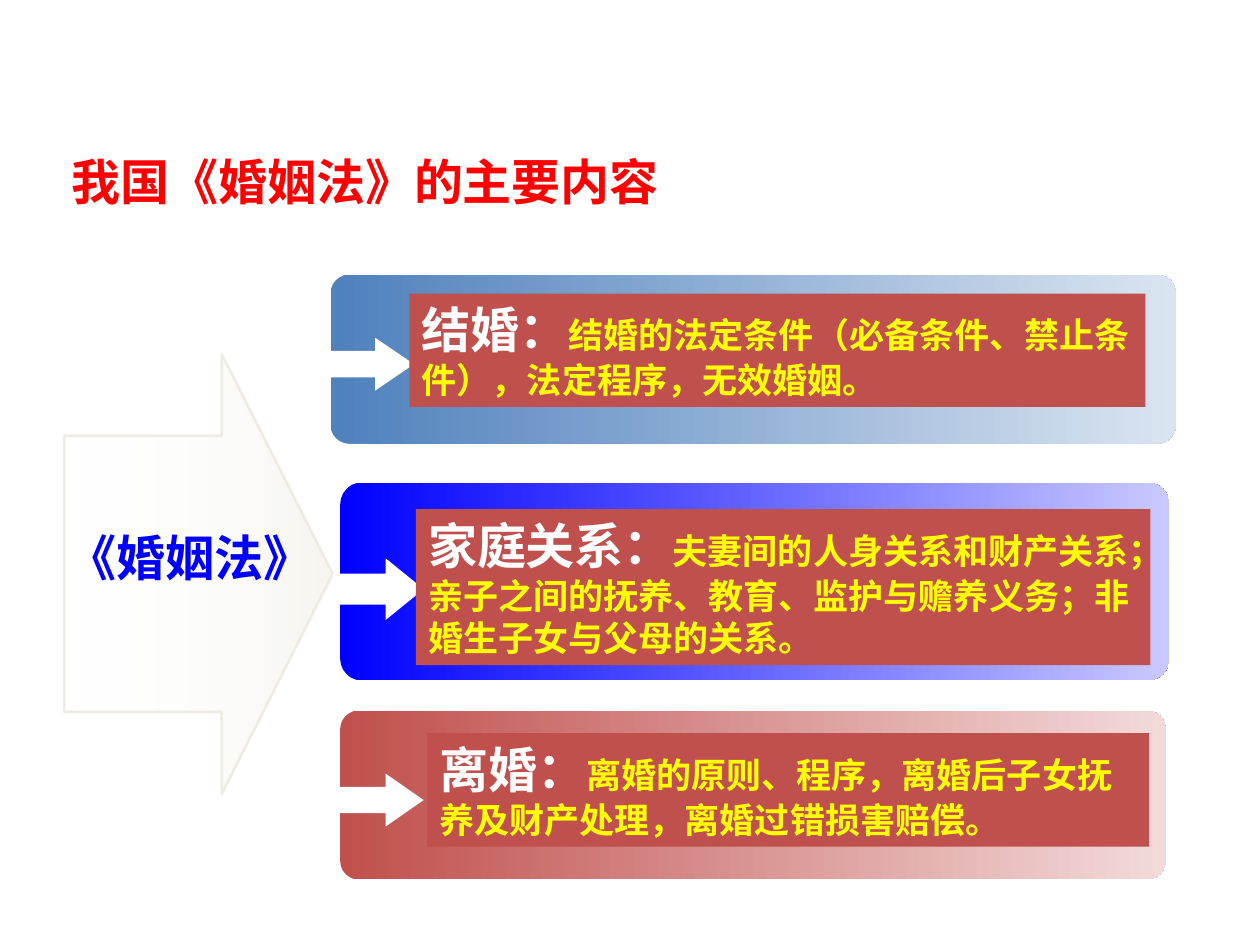
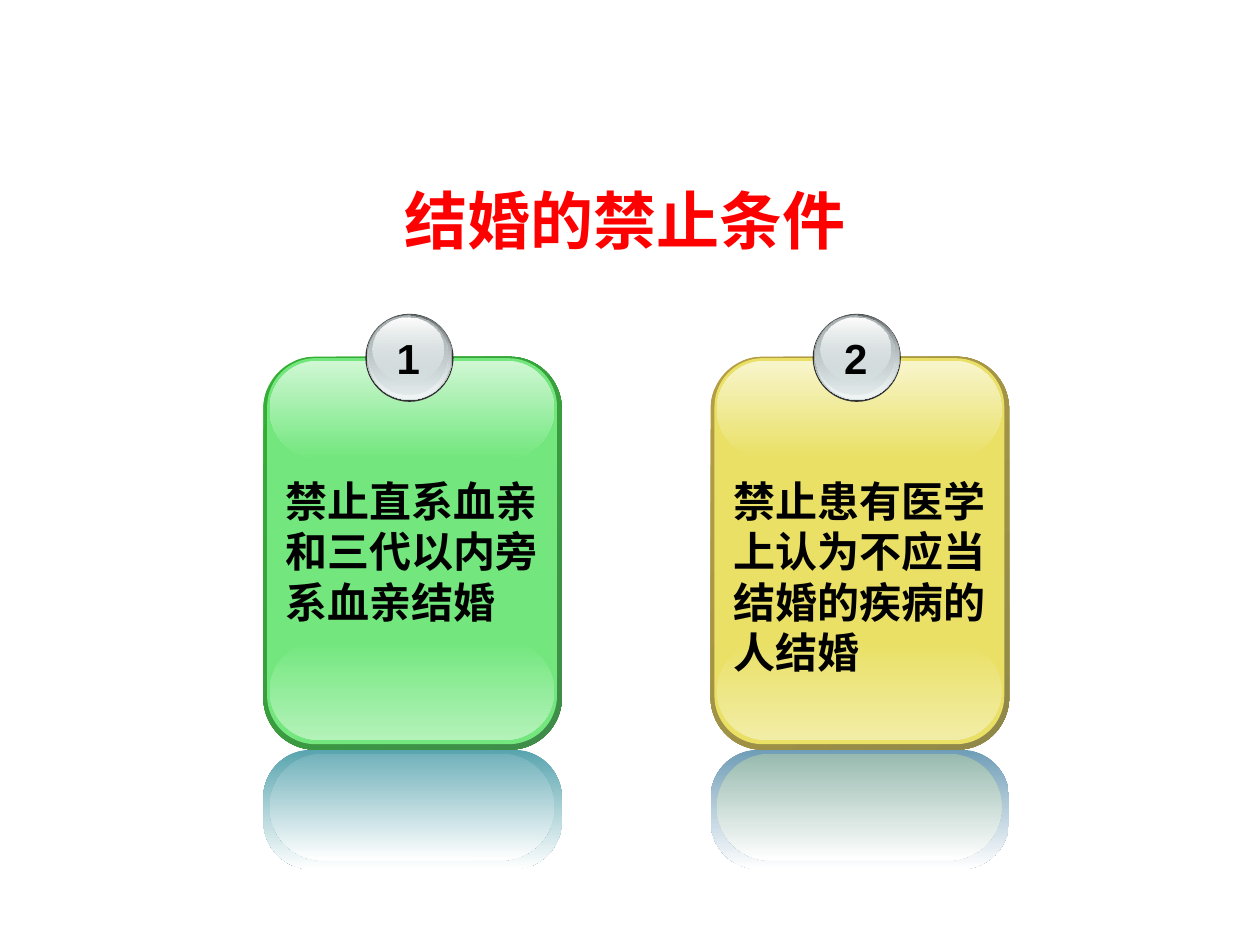
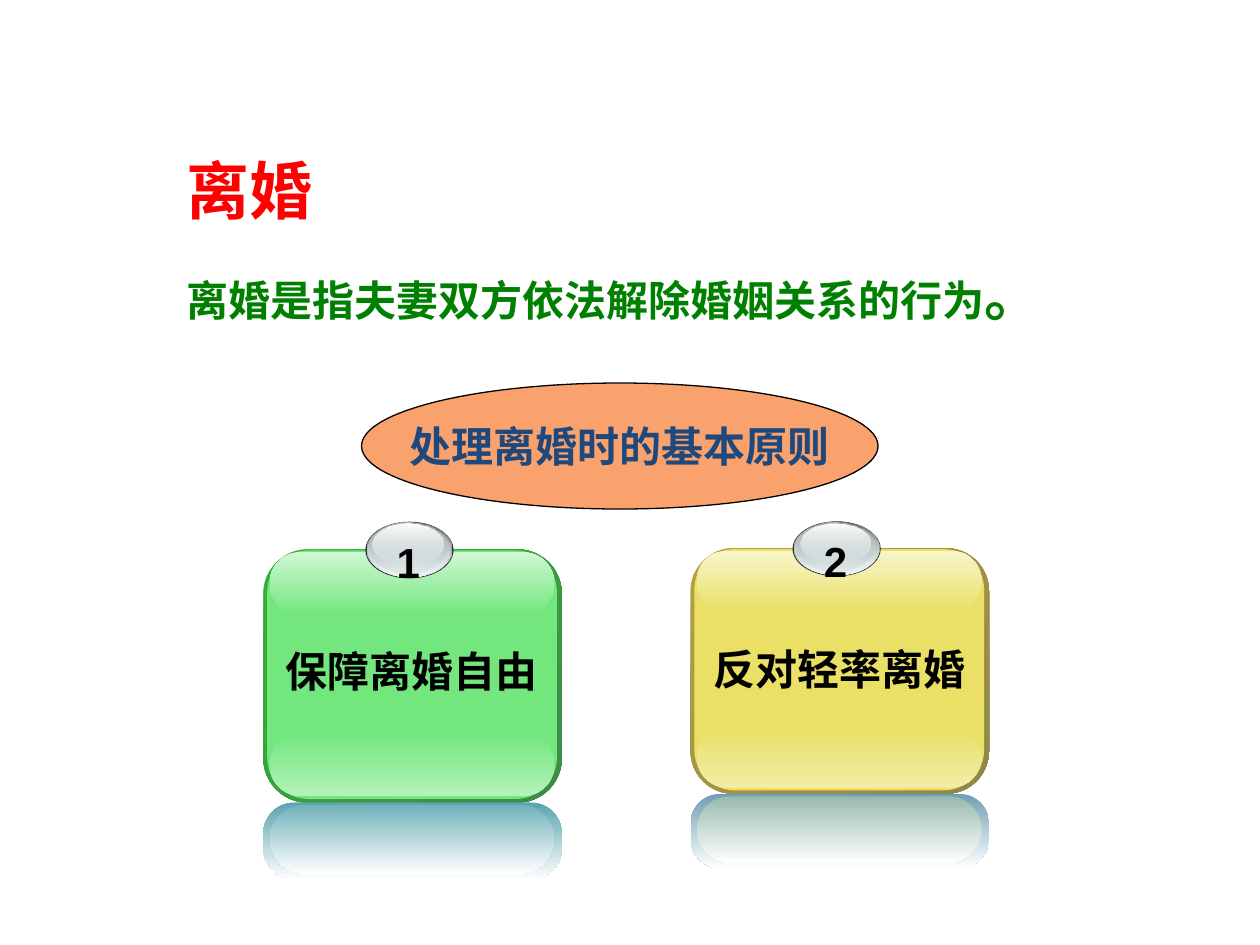
from dataclasses import dataclass

from lxml.etree import SubElement
from pptx import Presentation
from pptx.dml.color import RGBColor
from pptx.enum.shapes import MSO_SHAPE as Shape
from pptx.enum.text import MSO_ANCHOR as Anchor, PP_ALIGN as Align
from pptx.oxml.ns import qn
from pptx.util import Pt


@dataclass(frozen=True)
class Theme:
    white: str = "FFFFFF"
    black: str = "000000"
    red: str = "FF0000"
    blue: str = "0000FF"
    yellow: str = "FFFF00"
    green: str = "008000"
    navy: str = "1F497D"
    brick: str = "C0504D"
    cream: str = "EEECE1"
    orange: str = "F9A26D"
    rim: str = "333333"
    silver: str = "D6E1E2"
    heading: int = 36
    topic: int = 28
    body: int = 24
    detail: int = 20
    full_stop: int = 32
    latin: str = "Arial"
    title_font: str = "Noto Sans CJK SC"
    cjk: str = "DejaVu Sans"


T = Theme()

# Content: boxes are (left, top, width, height) in points
LAW_TITLE = "我国《婚姻法》的主要内容"
LAW_NAME = "《婚姻法》"
CHAPTERS = [
    dict(topic="离婚：", detail="离婚的原则、程序，离婚后子女抚养及财产处理，离婚过错损害赔偿。",
         panel=(194.4, 406.1, 471.6, 96.5), label=(244.1, 419, 412.6, 64.8),
         arrow=(442.1, 30.2, 0.717), colors=(T.brick, "F2DAD9")),
    dict(topic="家庭关系：",
         detail="夫妻间的人身关系和财产关系；亲子之间的抚养、教育、监护与赡养义务；非婚生子女与父母的关系。",
         panel=(194.4, 275.8, 473.8, 113), label=(237.6, 290.9, 419.8, 89.3),
         arrow=(319, 35.3, 0.615), colors=(T.blue, "C9C9FF")),
    dict(topic="结婚：", detail="结婚的法定条件（必备条件、禁止条件），法定程序，无效婚姻。",
         panel=(188.9, 157, 483, 96.5), label=(234, 167.8, 420.5, 64.8),
         arrow=(193, 30.2, 0.734), colors=("4F81BD", "DAE4F1")),
]
BANS_TITLE = "结婚的禁止条件"
BANS = [("禁止直系血亲和三代以内旁系血亲结婚", (150.5, 203.8, 224.6)),
        ("禁止患有医学上认为不应当结婚的疾病的人结婚", (406.1, 203.8, 224.6))]
DIVORCE_TITLE = "离婚"
DIVORCE_MEANING = "离婚是指夫妻双方依法解除婚姻关系的行为"
PRINCIPLES_TITLE = "处理离婚时的基本原则"
PRINCIPLES = [("保障离婚自由", (150.5, 313.9, 144.7)),
              ("反对轻率离婚", (394.6, 313.2, 140.4))]

# Card palettes, in the order the cards stand
PALETTES = [
    dict(frame=("34B034", "3F8B4A"), face="73E77E", low="B3F2B9", high="D0F7D4",
         mirror="58A4AE", mirror_face="72B2BB"),
    dict(frame=("B59F43", "8F8849"), face="E9E065", low="F2EDA6", high="F8F5CC",
         mirror="6F9DB7", mirror_face="98BAAF"),
]
CARD_WIDTH = 170.6

# Badge discs: left and width in points, top and height as shares of card height
BADGE = [
    (58.3, -0.109, 50.4, 0.224, T.rim, None),
    (59, -0.108, 49, 0.218, ("636869", T.silver), None),
    (59.7, -0.106, 47.5, 0.212, (T.silver, "F1F5F5"), (0, 100)),
    (59.9, -0.104, 45.4, 0.2, ("AAB2B3", T.silver), (100, 48)),
    (62.6, -0.1, 40.3, 0.16, (T.white, T.silver), (100, 38)),
]


def rgb(color):
    return RGBColor.from_string(color)


def paint(shape, fill, angle=0, alphas=None):
    """Fill with one colour, or with a pair as a gradient."""
    if isinstance(fill, str):
        shape.fill.solid()
        shape.fill.fore_color.rgb = rgb(fill)
        return
    shape.fill.gradient()
    shape.fill.gradient_angle = (360 - angle) % 360
    for stop, color, position in zip(shape.fill.gradient_stops, fill, (0, 1)):
        stop.color.rgb = rgb(color)
        stop.position = position
    if alphas:
        for node, alpha in zip(list(shape.element.iter(qn("a:srgbClr"))), alphas):
            SubElement(node, qn("a:alpha"), val=str(alpha * 1000))


def draw(slide, kind, box, fill, angle=0, alphas=None, adjust=(), line=None):
    shape = slide.shapes.add_shape(kind, *map(Pt, box))
    shape.shadow.inherit = False
    for index, value in enumerate(adjust):
        shape.adjustments[index] = value
    paint(shape, fill, angle, alphas)
    if line:
        shape.line.color.rgb = rgb(line[0])
        shape.line.width = Pt(line[1])
    else:
        shape.line.fill.background()
    return shape


def write(shape, *runs, font=T.latin, align=Align.LEFT, anchor=Anchor.TOP, wrap=True):
    """Write runs of (text, size, colour) as one bold paragraph."""
    frame = shape.text_frame
    frame_format = dict(word_wrap=wrap, vertical_anchor=anchor,
                        margin_left=Pt(7.2), margin_right=Pt(7.2),
                        margin_top=Pt(3.6), margin_bottom=Pt(3.6))
    for key, value in frame_format.items():
        setattr(frame, key, value)
    paragraph = frame.paragraphs[0]
    paragraph.alignment = align
    for text, size, color in runs:
        run = paragraph.add_run()
        run.text = text
        for key, value in dict(name=font, size=Pt(size), bold=True).items():
            setattr(run.font, key, value)
        run.font.color.rgb = rgb(color)
        latin = run.font._element.find(qn("a:latin"))
        east_asian = latin.makeelement(qn("a:ea"), {"typeface": T.cjk})
        latin.addnext(east_asian)


def label(slide, box, *runs, **options):
    write(slide.shapes.add_textbox(*map(Pt, box)), *runs, **options)


def title(slide, box, text, size=T.heading, wrap=True):
    label(slide, box, (text, size, T.red), font=T.title_font, wrap=wrap)


def card(slide, number, text, place, palette):
    """Draw a glossy card with a numbered badge and a reflection."""
    left, top, height = place
    face = palette["face"]

    def part(dx, dy, width, share):
        return left + dx, top + dy * height, width, share * height

    # Body, gloss and reflection
    layers = [
        (0, 0, CARD_WIDTH, 1, palette["frame"], 45, 0.175),
        (2.2, 0.004, 165.6, 0.982, face, 0, 0.167),
        (3.6, 0.725, 162.7, 0.25, (face, palette["low"]), 90, 0.5),
        (3.6, 0.01, 162.7, 0.247, (palette["high"], face), 90, 0.5),
        (0, 1, CARD_WIDTH, 0.304, (palette["mirror"], T.white), 90, 0.404),
        (3.6, 1.01, 162.7, 0.272, (palette["mirror_face"], T.white), 90, 0.5),
    ]
    for *area, fill, angle, radius in layers:
        draw(slide, Shape.ROUNDED_RECTANGLE, part(*area), fill, angle, adjust=[radius])

    # Badge and wording
    for *area, fill, alphas in BADGE:
        draw(slide, Shape.OVAL, part(*area), fill, 90, alphas)
    label(slide, (left + 69.1, top - 0.076 * height, 27.4, 36),
          (str(number), T.body, T.black), align=Align.CENTER, wrap=False)
    label(slide, (left + 5.8, top + 0.158 * height + 28.8, 162, 36),
          (text, T.body, T.black), font=T.cjk)


def cards(slide, entries):
    for number, ((text, place), palette) in enumerate(zip(entries, PALETTES), 1):
        card(slide, number, text, place, palette)


def law_slide(slide):
    draw(slide, Shape.RIGHT_ARROW, (36.7, 202.3, 153.4, 251.3), (T.white, T.cream),
         alphas=(0, 50), adjust=(0.628, 0.413), line=(T.cream, 1.5))
    for chapter in CHAPTERS:
        draw(slide, Shape.ROUNDED_RECTANGLE, chapter["panel"], chapter["colors"],
             adjust=[0.109])
        top, height, head = chapter["arrow"]
        draw(slide, Shape.RIGHT_ARROW, (chapter["panel"][0] - 4.3, top, 52, height),
             T.white, adjust=(0.5, head))
        write(draw(slide, Shape.RECTANGLE, chapter["label"], T.brick),
              (chapter["topic"], T.topic, T.white),
              (chapter["detail"], T.detail, T.yellow))
    title(slide, (33.8, 82.8, 350, 41), LAW_TITLE, T.topic, wrap=False)
    label(slide, (31.7, 298.1, 154, 41), (LAW_NAME, T.topic, T.blue), wrap=False)


def bans_slide(slide):
    title(slide, (223.9, 100.1, 278, 62), BANS_TITLE)
    cards(slide, BANS)


def divorce_slide(slide):
    title(slide, (99.4, 82.8, 102, 62), DIVORCE_TITLE)
    label(slide, (99.4, 145.4, 538.6, 46), (DIVORCE_MEANING, T.body, T.green),
          ("。", T.full_stop, T.green))
    principles = draw(slide, Shape.OVAL, (206.6, 218.9, 295.2, 72), T.orange,
                      line=(T.black, 0.75))
    write(principles, (PRINCIPLES_TITLE, T.body, T.navy), align=Align.CENTER,
          anchor=Anchor.MIDDLE, wrap=False)
    cards(slide, PRINCIPLES)


def main():
    deck = Presentation()
    deck.slide_width, deck.slide_height = Pt(720), Pt(540)
    for build in (law_slide, bans_slide, divorce_slide):
        build(deck.slides.add_slide(deck.slide_layouts[6]))
    deck.save("out.pptx")


if __name__ == "__main__":
    main()
